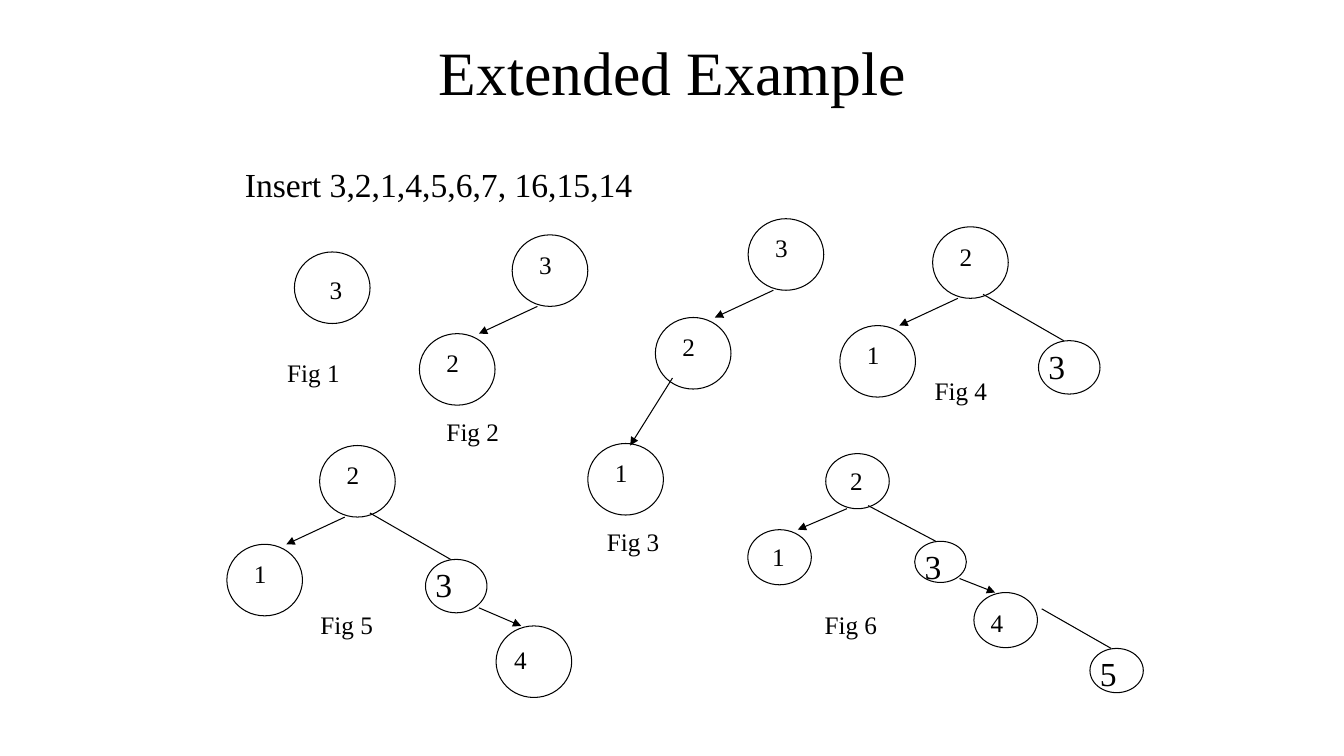
from lxml import etree
from pptx import Presentation
from pptx import util as u
from pptx.dml.color import RGBColor
from pptx.enum import shapes, text
from pptx.oxml.ns import qn

FONT, INK, PAPER = "Times New Roman", "000000", "FFFFFF"
TITLE = ("Extended Example", 2.42, 0.08, 8.5, 1.25)
TASK = ("Insert 3,2,1,4,5,6,7, 16,15,14", 2.33, 1.58, 7.08, 0.5)

# Node styles: width, height, label shift x, label shift y, label size
STYLES = {
    "large": (0.75, 0.71, 0.17, 0.09, 18),
    "single": (0.75, 0.71, 0.25, 0.17, 18),
    "inner": (0.75, 0.71, 0.08, 0.13, 18),
    "small": (0.61, 0.53, 0, 0, 24),
    "last": (0.63, 0.57, 0, 0, 24),
}

# Places in a tree, measured from the root's corner:
# node corner, incoming line (start, end), arrowhead
PLACES = {
    "root": ((0, 0), None, False),
    "left": ((-0.92, 0.98), ((0.25, 0.71), (-0.33, 0.98)), True),
    "left left": ((-1.59, 2.23), ((-0.75, 1.58), (-1.17, 2.25)), True),
    "right": ((1.05, 1.13), ((0.5, 0.67), (1.3, 1.13)), False),
    "right right": ((1.75, 1.79), ((1.58, 1.61), (2, 1.79)), True),
    "third right": ((3.12, 2.51), ((2.55, 2), (3.37, 2.51)), False),
}

# Caption, its corner, root corner, scale, nodes (label, place, style)
FULL, REDUCED = (1, 1), (0.84, 0.77)
FIGURES = [
    ("Fig 1", (2.75, 3.5), (2.92, 2.5), FULL, [("3", "root", "single")]),
    ("Fig 2", (4.33, 4.08), (5.08, 2.33), FULL,
     [("3", "root", "large"), ("2", "left", "large")]),
    ("Fig 3", (5.92, 5.17), (7.42, 2.17), FULL,
     [("3", "root", "large"), ("2", "left", "large"), ("1", "left left", "large")]),
    ("Fig 4", (9.17, 3.67), (9.25, 2.25), FULL,
     [("2", "root", "large"), ("1", "left", "large"), ("3", "right", "small")]),
    ("Fig 5", (3.08, 6), (3.17, 4.42), FULL,
     [("2", "root", "large"), ("1", "left", "large"), ("3", "right", "small"),
      ("4", "right right", "inner")]),
    ("Fig 6", (8.08, 6), (8.19, 4.5), REDUCED,
     [("2", "root", "large"), ("1", "left", "large"), ("3", "right", "small"),
      ("4", "right right", "inner"), ("5", "third right", "last")]),
]


def color(value):
    return RGBColor.from_string(value)


def inches(*lengths):
    return [u.Inches(length) for length in lengths]


def write(shape, words, size):
    shape.text_frame.text = words
    font = shape.text_frame.paragraphs[0].runs[0].font
    font.name, font.size = FONT, u.Pt(size)
    font.color.rgb = color(INK)


def add_text(parent, words, left, top, width, height, size):
    box = parent.add_textbox(*inches(left, top, width, height))
    box.text_frame.word_wrap = True
    write(box, words, size)


def outline(shape):
    shape.line.color.rgb = color(INK)
    shape.line.width = u.Pt(0.75)


def add_node(parent, label, corner, scale, style):
    width, height, shift_x, shift_y, size = STYLES[style]
    (left, top), (scale_x, scale_y) = corner, scale
    node = parent.add_shape(shapes.MSO_SHAPE.OVAL, *inches(
        left, top, width * scale_x, height * scale_y))
    node.shadow.inherit = False
    node.fill.background()
    outline(node)
    add_text(parent, label, left + shift_x * scale_x, top + shift_y * scale_y,
             0.6, 0.5 if size == 24 else 0.4, size)


def add_line(parent, start, end, arrow):
    line = parent.add_connector(shapes.MSO_CONNECTOR.STRAIGHT, *inches(*start, *end))
    outline(line)
    if arrow:
        etree.SubElement(line.line._get_or_add_ln(), qn("a:tailEnd"), type="triangle")
    etree.SubElement(line._element.spPr, qn("a:effectLst"))


def add_figure(slide, caption, caption_corner, root, scale, nodes):
    def locate(point):
        return [base + step * factor for base, step, factor in zip(root, point, scale)]

    parent = slide.shapes.add_group_shape().shapes
    for label, place, style in nodes:
        corner, line, arrow = PLACES[place]
        add_node(parent, label, locate(corner), scale, style)
        if line:
            add_line(parent, locate(line[0]), locate(line[1]), arrow)
    add_text(parent, caption, *caption_corner, 1.25, 0.4, 18)


def main():
    presentation = Presentation()
    presentation.slide_width, presentation.slide_height = inches(13.33, 7.5)
    slide = presentation.slides.add_slide(presentation.slide_layouts[5])
    slide.background.fill.solid()
    slide.background.fill.fore_color.rgb = color(PAPER)

    title = slide.shapes.title
    words, *frame = TITLE
    title.left, title.top, title.width, title.height = inches(*frame)
    write(title, words, 44)
    title.text_frame.vertical_anchor = text.MSO_ANCHOR.MIDDLE
    title.text_frame.paragraphs[0].alignment = text.PP_ALIGN.CENTER

    add_text(slide.shapes, *TASK, 24)
    for figure in FIGURES:
        add_figure(slide, *figure)
    presentation.save("out.pptx")


if __name__ == "__main__":
    main()
